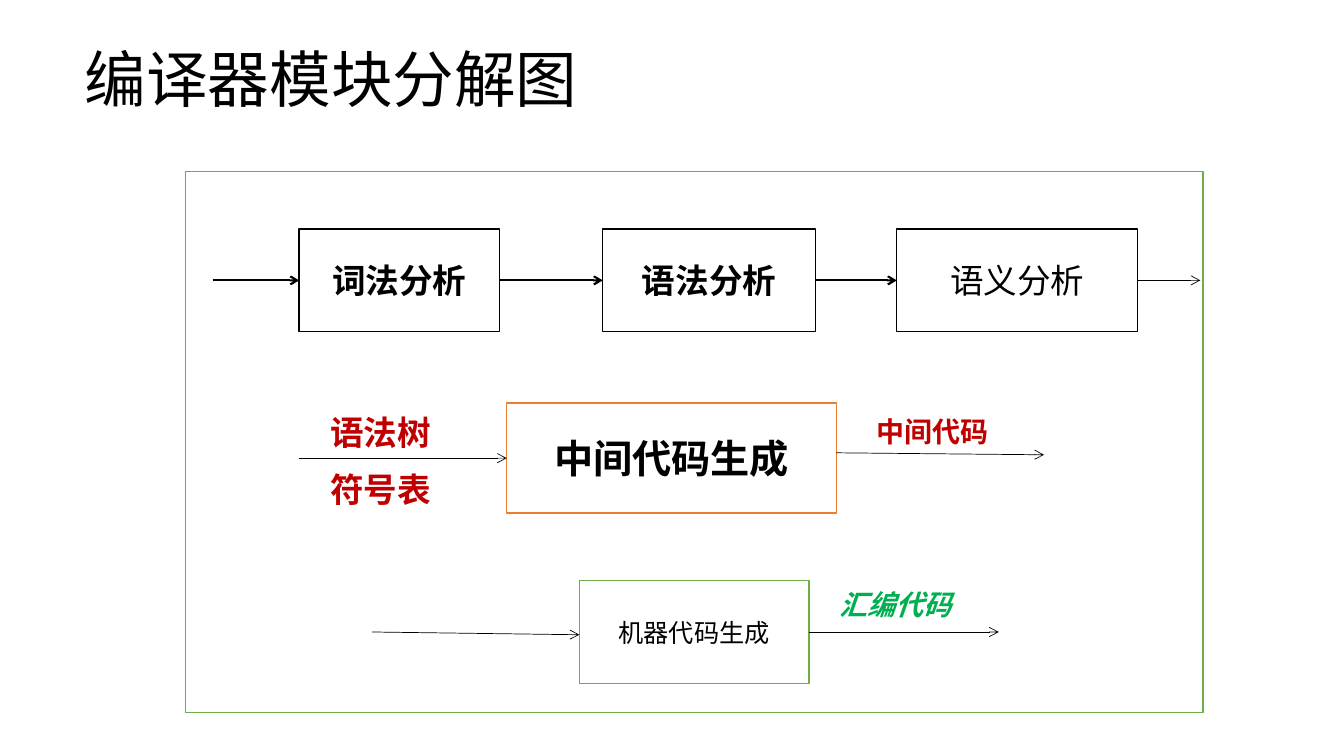
import pptx
import pptx.util
import pptx.dml.color
import pptx.enum.shapes
import pptx.enum.text
import pptx.oxml
from pptx.oxml.ns import qn
from pptx.util import Cm

COLORS = {
    "black": "000000",
    "white": "FFFFFF",
    "green": "70AD47",
    "orange": "ED7D31",
    "red": "C00000",
    "bright_green": "00B050",
}
FONT = "Calibri"
LEFT = pptx.enum.text.PP_ALIGN.LEFT
CENTER = pptx.enum.text.PP_ALIGN.CENTER
MIDDLE = pptx.enum.text.MSO_ANCHOR.MIDDLE
TOP = pptx.enum.text.MSO_ANCHOR.TOP


def color(name):
    return pptx.dml.color.RGBColor.from_string(COLORS[name])


def write(shape, text, size, name="black", bold=False, italic=False, align=LEFT, anchor=MIDDLE):
    frame = shape.text_frame
    frame.word_wrap = True
    frame.auto_size = pptx.enum.text.MSO_AUTO_SIZE.NONE
    frame.vertical_anchor = anchor
    paragraph = frame.paragraphs[0]
    paragraph.alignment = align
    run = paragraph.add_run()
    run.text = text
    run.font.name = FONT
    run.font.size = pptx.util.Pt(size)
    run.font.bold = bold
    run.font.italic = italic
    run.font.color.rgb = color(name)
    return paragraph


def add_box(slide, left, top, width, height, outline):
    shape = slide.shapes.add_shape(
        pptx.enum.shapes.MSO_SHAPE.RECTANGLE, Cm(left), Cm(top), Cm(width), Cm(height))
    shape.shadow.inherit = False
    shape.fill.solid()
    shape.fill.fore_color.rgb = color("white")
    shape.line.color.rgb = color(outline)
    shape.line.width = pptx.util.Pt(1)
    return shape


def add_arrow(slide, start_x, start_y, end_x, end_y, weight=0.5):
    connector = slide.shapes.add_connector(
        pptx.enum.shapes.MSO_CONNECTOR.STRAIGHT, Cm(start_x), Cm(start_y), Cm(end_x), Cm(end_y))
    connector.line.color.rgb = color("black")
    connector.line.width = pptx.util.Pt(weight)
    line = connector.line._get_or_add_ln()
    line.append(pptx.oxml.parse_xml(
        '<a:tailEnd xmlns:a="http://schemas.openxmlformats.org/drawingml/2006/main" type="arrow"/>'))
    line.addnext(line.makeelement(qn("a:effectLst"), {}))


def add_label(slide, left, top, width, height, text, size, name, italic=False):
    label = slide.shapes.add_textbox(Cm(left), Cm(top), Cm(width), Cm(height))
    write(label, text, size, name, bold=True, italic=italic, anchor=TOP)


def add_title(slide, left, top, width, height):
    title = slide.shapes.title
    title.left, title.top, title.width, title.height = Cm(left), Cm(top), Cm(width), Cm(height)
    write(title, "编译器模块分解图", 44).line_spacing = 0.9


def add_analysis_row(slide, left, top, height):
    middle = top + height / 2
    stages = [
        ("词法分析", 2.87, 5.05, True),
        ("语法分析", 10.52, 5.36, True),
        ("语义分析", 17.93, 6.07, False),
    ]
    arrow_start = left + 0.69
    for text, offset, width, bold in stages:
        box = add_box(slide, left + offset, top, width, height, "black")
        write(box, text, 24, bold=bold, align=CENTER)
        add_arrow(slide, arrow_start, middle, left + offset, middle, 1.5)
        arrow_start = left + offset + width
    add_arrow(slide, arrow_start, middle, left + 25.58, middle)


def add_intermediate_row(slide, left, top, height):
    box_left, box_width = left + 8.1, 8.31
    middle = top + height / 2
    box = add_box(slide, box_left, top, box_width, height, "orange")
    write(box, "中间代码生成", 28, bold=True, align=CENTER)
    add_arrow(slide, left + 2.87, middle, box_left, middle)
    add_arrow(slide, box_left + box_width, top + 1.25, left + 21.64, top + 1.3)
    for text, offset in (("语法树", 0.1), ("符号表", 1.53)):
        add_label(slide, left + 3.4, top + offset, 3.76, 1.27, text, 24, "red")
    add_label(slide, left + 17.17, top + 0.15, 5, 1.14, "中间代码", 20, "red")


def add_machine_row(slide, left, top, height):
    box_left, box_width = left + 9.93, 5.79
    middle = top + height / 2
    box = add_box(slide, box_left, top, box_width, height, "green")
    write(box, "机器代码生成", 18, align=CENTER)
    add_arrow(slide, left + 4.7, middle, box_left, middle + 0.07)
    add_arrow(slide, box_left + box_width, middle, left + 20.5, middle)
    add_label(slide, left + 16.23, top + 0.05, 3.4, 1.12, "汇编代码", 20, "bright_green", italic=True)


def add_compiler_diagram(slide, left, top, width, height):
    add_box(slide, left, top, width, height, "green")
    add_analysis_row(slide, left, top + 1.45, 2.59)
    add_intermediate_row(slide, left, top + 5.84, 2.77)
    add_machine_row(slide, left, top + 10.31, 2.59)


def main():
    presentation = pptx.Presentation()
    presentation.slide_width = Cm(33.87)
    presentation.slide_height = Cm(19.05)
    slide = presentation.slides.add_slide(presentation.slide_layouts.get_by_name("Title Only"))
    add_title(slide, 1.88, 0.48, 22.86, 3.18)
    add_compiler_diagram(slide, 4.67, 4.32, 25.65, 13.64)
    presentation.save("out.pptx")


if __name__ == "__main__":
    main()
